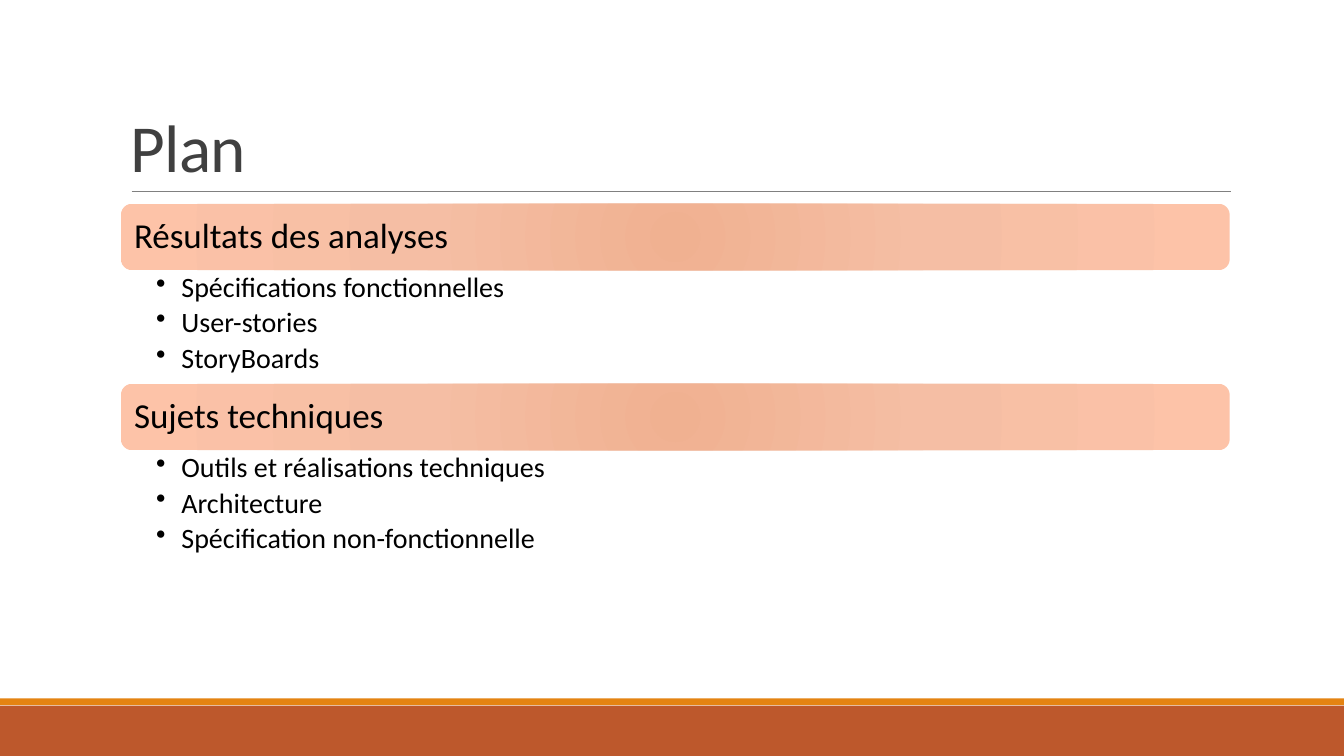
from pptx import Presentation
from pptx.dml.color import RGBColor
from pptx.enum.shapes import MSO_CONNECTOR, MSO_SHAPE
from pptx.enum.text import MSO_ANCHOR
from pptx.oxml import parse_xml
from pptx.oxml.ns import nsdecls
from pptx.util import Pt

RECTANGLE = MSO_SHAPE.RECTANGLE
ROUNDED = MSO_SHAPE.ROUNDED_RECTANGLE
STRAIGHT = MSO_CONNECTOR.STRAIGHT
TOP, MIDDLE, BOTTOM = MSO_ANCHOR.TOP, MSO_ANCHOR.MIDDLE, MSO_ANCHOR.BOTTOM

FONT = "Calibri"
BLACK = RGBColor(0x00, 0x00, 0x00)
TITLE_GREY = RGBColor(0x40, 0x40, 0x40)
RULE_GREY = RGBColor(0x80, 0x80, 0x80)
RUST = RGBColor(0xBD, 0x58, 0x2C)
ORANGE = RGBColor(0xE4, 0x83, 0x12)
GLOW_STOPS = (
    (0, RGBColor(0xF0, 0xB1, 0x91)),
    (45, RGBColor(0xF5, 0xBE, 0xA4)),
    (100, RGBColor(0xFD, 0xC3, 0xA8)),
)

PAGE_WIDTH, PAGE_HEIGHT = 960, 540
LEFT, WIDTH = 86.4, 792
SECTIONS_TOP = 145.6
HEADING_HEIGHT, LIST_HEIGHT = 47.4, 81.2
SECTIONS = (
    ("Résultats des analyses",
     ("Spécifications fonctionnelles", "User-stories", "StoryBoards")),
    ("Sujets techniques",
     ("Outils et réalisations techniques", "Architecture",
      "Spécification non-fonctionnelle")),
)


def set_frame(box, anchor, left, top, right, bottom):
    frame = box.text_frame
    frame.word_wrap = True
    frame.vertical_anchor = anchor
    frame.margin_left, frame.margin_top = Pt(left), Pt(top)
    frame.margin_right, frame.margin_bottom = Pt(right), Pt(bottom)
    return frame


def add_span(para, text, size, color, line_spacing):
    para.line_spacing = line_spacing
    span = para.add_run()
    span.text = text
    span.font.name = FONT
    span.font.size = Pt(size)
    span.font.color.rgb = color
    return span


def add_band(page, top, height, color):
    band = page.shapes.add_shape(RECTANGLE, 0, Pt(top), Pt(PAGE_WIDTH), Pt(height))
    band.shadow.inherit = False
    band.fill.solid()
    band.fill.fore_color.rgb = color
    band.line.fill.background()


def add_title(page, text):
    box = page.shapes.add_textbox(Pt(LEFT), Pt(22.6), Pt(WIDTH), Pt(114.2))
    frame = set_frame(box, BOTTOM, 7.2, 3.6, 7.2, 3.6)
    span = add_span(frame.paragraphs[0], text, 48, TITLE_GREY, 0.85)
    span.font._element.set("spc", "-50")


def add_rule(page):
    rule = page.shapes.add_connector(STRAIGHT, Pt(94), Pt(136.8), Pt(879), Pt(136.8))
    rule.line.color.rgb = RULE_GREY
    rule.line.width = Pt(0.5)
    rule._element.spPr.append(parse_xml(f"<a:effectLst {nsdecls('a')}/>"))


def fill_with_glow(shape):
    """Fill the shape with a circular gradient spreading from its centre."""
    stops = "".join(
        f'<a:gs pos="{percent * 1000}"><a:srgbClr val="{color}"/></a:gs>'
        for percent, color in GLOW_STOPS)
    gradient = parse_xml(
        f'<a:gradFill {nsdecls("a")} rotWithShape="1"><a:gsLst>{stops}</a:gsLst>'
        '<a:path path="circle"><a:fillToRect l="100000" t="100000" r="100000"'
        ' b="100000"/></a:path></a:gradFill>')
    shape._element.spPr.prstGeom.addnext(gradient)


def add_heading(page, top, text):
    bar = page.shapes.add_shape(ROUNDED, Pt(LEFT), Pt(top), Pt(WIDTH), Pt(HEADING_HEIGHT))
    bar.shadow.inherit = False
    bar.line.fill.background()
    fill_with_glow(bar)
    frame = set_frame(bar, MIDDLE, 7.2, 7.2, 7.2, 7.2)
    para = frame.paragraphs[0]
    add_span(para, text, 25, BLACK, 0.9)
    para._p.get_or_add_pPr().set("algn", "l")


def add_bullets(page, top, items):
    box = page.shapes.add_textbox(Pt(LEFT), Pt(top), Pt(WIDTH), Pt(LIST_HEIGHT))
    frame = set_frame(box, TOP, 25.2, 2.2, 13.7, 2.2)
    for index, item in enumerate(items):
        para = frame.add_paragraph() if index else frame.paragraphs[0]
        para.space_after = Pt(3.75)
        add_span(para, item, 20, BLACK, 0.9)
        properties = para._p.get_or_add_pPr()
        properties.set("marL", str(Pt(18)))
        properties.set("indent", str(-Pt(18)))
        properties.append(parse_xml(f'<a:buChar {nsdecls("a")} char="•"/>'))


def main():
    deck = Presentation()
    deck.slide_width, deck.slide_height = Pt(PAGE_WIDTH), Pt(PAGE_HEIGHT)
    page = deck.slides.add_slide(deck.slide_layouts[6])
    add_band(page, 504, 36, RUST)
    add_band(page, 498.8, 5, ORANGE)
    add_rule(page)
    add_title(page, "Plan")
    for index, (heading, items) in enumerate(SECTIONS):
        top = SECTIONS_TOP + index * (HEADING_HEIGHT + LIST_HEIGHT)
        add_heading(page, top, heading)
        add_bullets(page, top + HEADING_HEIGHT, items)
    deck.save("out.pptx")


if __name__ == "__main__":
    main()
